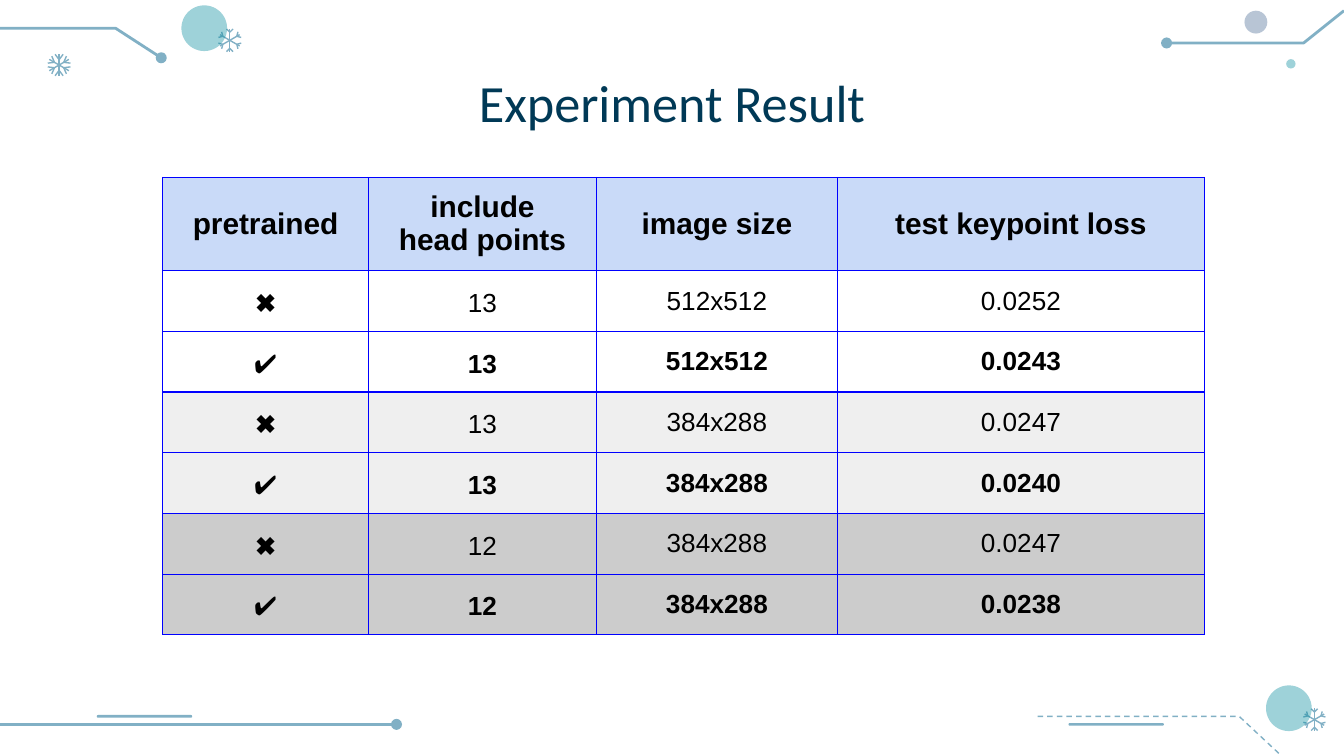
from dataclasses import dataclass
from math import cos, radians, sin

from lxml.etree import SubElement
from pptx import Presentation
from pptx.dml.color import RGBColor
from pptx.enum.dml import MSO_LINE_DASH_STYLE as Dash
from pptx.enum.shapes import MSO_CONNECTOR_TYPE as Connector, MSO_SHAPE as Shape
from pptx.enum.text import MSO_ANCHOR as Anchor, MSO_AUTO_SIZE as AutoSize, PP_ALIGN as Align
from pptx.oxml.ns import qn
from pptx.util import Emu, Inches, Pt

# A 16:9 slide, measured in square grid units, 1000 to its width.
SLIDE_W = Inches(10)
SLIDE_H = Emu(SLIDE_W * 9 // 16)
UNIT = SLIDE_W // 1000

STEEL = RGBColor(0x81, 0xB0, 0xC5)
TEAL = RGBColor(0x00, 0x89, 0x9C)
SLATE = RGBColor(0x49, 0x6A, 0x95)
NAVY = RGBColor(0x00, 0x39, 0x56)
BLACK = RGBColor(0x00, 0x00, 0x00)
BLUE = RGBColor(0x00, 0x00, 0xFF)
HEADER = RGBColor(0xC9, 0xDA, 0xF8)
WHITE = RGBColor(0xFF, 0xFF, 0xFF)
PALE = RGBColor(0xEF, 0xEF, 0xEF)
GRAY = RGBColor(0xCC, 0xCC, 0xCC)

CROSS, CHECK = "✖", "✔"
INSETS = {f"margin_{side}": Inches(0.1) for side in ("left", "right", "top", "bottom")}


@dataclass
class Trace:
    points: list[tuple[float, float]]
    width: float = 1.5
    dot: bool = True
    dash: bool = False


@dataclass
class Disc:
    left: float
    top: float
    size: float
    color: RGBColor
    opacity: int


@dataclass
class Bar:
    left: float
    top: float


@dataclass
class Snowflake:
    x: float
    y: float
    fork: float
    barb: tuple[float, float]


@dataclass
class ResultRow:
    cells: list[str]
    fill: RGBColor
    size: int = 14
    bold: bool = False
    header: bool = False


DECOR = [
    Bar(72, 532),
    Trace([(0, 539), (276, 539), (295, 539)]),
    Trace([(1000, 8), (970, 32), (868, 32)]),
    Disc(926, 8, 17, SLATE, 39),
    Disc(957, 44, 7, TEAL, 38),
    Snowflake(171, 30, 6, (2.4, 2.4)),
    Trace([(0, 21), (86, 21), (120, 43)]),
    Snowflake(44, 48.4, 4, (3, 4)),
    Disc(135, 4, 34, TEAL, 38),
    Snowflake(978, 535.5, 5.7, (2.4, 2.4)),
    Trace([(772, 533), (922, 533), (952, 561)], width=0.75, dot=False, dash=True),
    Disc(942, 510, 34, TEAL, 38),
    Bar(795, 538),
]

COLUMNS = [153.3, 169.6, 179.3, 273.1]
RESULTS = [
    ResultRow(["pretrained", "include\nhead points", "image size", "test keypoint loss"],
              HEADER, size=16, bold=True, header=True),
    ResultRow([CROSS, "13", "512x512", "0.0252"], WHITE),
    ResultRow([CHECK, "13", "512x512", "0.0243"], WHITE, bold=True),
    ResultRow([CROSS, "13", "384x288", "0.0247"], PALE),
    ResultRow([CHECK, "13", "384x288", "0.0240"], PALE, bold=True),
    ResultRow([CROSS, "12", "384x288", "0.0247"], GRAY),
    ResultRow([CHECK, "12", "384x288", "0.0238"], GRAY, bold=True),
]


def grid(*values: float) -> list[Emu]:
    return [Emu(round(v * UNIT)) for v in values]


def apply(target, formats: dict) -> None:
    for name, value in formats.items():
        setattr(target, name, value)


def style_line(s, width: float) -> None:
    s.line.color.rgb = STEEL
    s.line.width = Pt(width)


def draw_trace(shapes, trace: Trace) -> None:
    (x, y), *rest = trace.points
    builder = shapes.build_freeform(x, y, scale=UNIT)
    builder.add_line_segments(rest, close=False)
    s = builder.convert_to_shape()
    s.shadow.inherit = False
    s.fill.background()
    style_line(s, trace.width)
    if trace.dash:
        s.line.dash_style = Dash.DASH
    if trace.dot:
        SubElement(s._element.spPr.find(qn("a:ln")), qn("a:tailEnd"), type="oval")


def draw_solid(shapes, kind: Shape, box: tuple, color: RGBColor):
    s = shapes.add_shape(kind, *grid(*box))
    s.shadow.inherit = False
    s.fill.solid()
    s.fill.fore_color.rgb = color
    s.line.fill.background()
    return s


def draw_disc(shapes, disc: Disc) -> None:
    s = draw_solid(shapes, Shape.OVAL, (disc.left, disc.top, disc.size, disc.size), disc.color)
    color = s._element.spPr.find(qn("a:solidFill"))[0]
    SubElement(color, qn("a:alpha"), val=str(disc.opacity * 1000))


def draw_bar(shapes, bar: Bar) -> None:
    s = draw_solid(shapes, Shape.ROUNDED_RECTANGLE, (bar.left, bar.top, 71, 2), STEEL)
    s.adjustments[0] = 0.5


def draw_snowflake(shapes, flake: Snowflake) -> None:
    """Draw six spokes, each with a pair of barbs, as one group."""
    across, along = flake.barb
    tip = flake.fork + along
    strokes = [((0, 0), (8.4, 0)), ((flake.fork, 0), (tip, across)), ((flake.fork, 0), (tip, -across))]
    group = shapes.add_group_shape()
    for angle in range(30, 390, 60):
        c, n = cos(radians(angle)), sin(radians(angle))
        for stroke in strokes:
            ends = [v for a, b in stroke for v in (flake.x + a * c - b * n, flake.y + a * n + b * c)]
            s = group.shapes.add_connector(Connector.STRAIGHT, *grid(*ends))
            style_line(s, 0.75)
            SubElement(s._element.spPr, qn("a:effectLst"))


def add_borders(cell) -> None:
    tcPr = cell._tc.get_or_add_tcPr()
    for side in ("lnL", "lnR", "lnT", "lnB"):
        ln = SubElement(tcPr, qn(f"a:{side}"), w=str(Pt(0.75)))
        SubElement(SubElement(ln, qn("a:solidFill")), qn("a:srgbClr"), val=str(BLUE))


def fill_cell(cell, text: str, column: int, row: ResultRow) -> None:
    apply(cell, INSETS | {"vertical_anchor": Anchor.MIDDLE})
    add_borders(cell)
    cell.fill.solid()
    cell.fill.fore_color.rgb = row.fill
    cell.text_frame.text = text
    bold = row.bold and text != CHECK
    for p in cell.text_frame.paragraphs:
        p.alignment = Align.CENTER
        if column < 2 and not row.header:
            p.line_spacing = 1.15
        for r in p.runs:
            apply(r.font, {"name": "Arial", "size": Pt(row.size), "bold": bold})
            r.font.color.rgb = BLACK


def draw_results(shapes) -> None:
    heights = [69 if row.header else 37 for row in RESULTS]
    box = grid(121, 132, sum(COLUMNS), sum(heights))
    table = shapes.add_table(len(RESULTS), len(COLUMNS), *box).table
    apply(table, {"first_row": False, "horz_banding": False})
    for column, width in zip(table.columns, grid(*COLUMNS)):
        column.width = width
    for i, (row, height) in enumerate(zip(RESULTS, grid(*heights))):
        table.rows[i].height = height
        for j, text in enumerate(row.cells):
            fill_cell(table.cell(i, j), text, j, row)


def set_title(title, text: str) -> None:
    apply(title, dict(zip(("left", "top", "width", "height"), grid(78, 42, 844, 67))))
    tf = title.text_frame
    tf.text = text
    apply(tf, INSETS | {"auto_size": AutoSize.NONE, "vertical_anchor": Anchor.TOP, "word_wrap": True})
    p = tf.paragraphs[0]
    p.alignment = Align.CENTER
    apply(p.runs[0].font, {"name": "Calibri", "size": Pt(28), "bold": False})
    p.runs[0].font.color.rgb = NAVY


def main() -> None:
    prs = Presentation()
    apply(prs, {"slide_width": SLIDE_W, "slide_height": SLIDE_H})
    slide = prs.slides.add_slide(prs.slide_layouts[5])
    draw = {Trace: draw_trace, Disc: draw_disc, Bar: draw_bar, Snowflake: draw_snowflake}
    for item in DECOR:
        draw[type(item)](slide.shapes, item)
    set_title(slide.shapes.title, "Experiment Result")
    draw_results(slide.shapes)
    prs.save("out.pptx")


if __name__ == "__main__":
    main()
